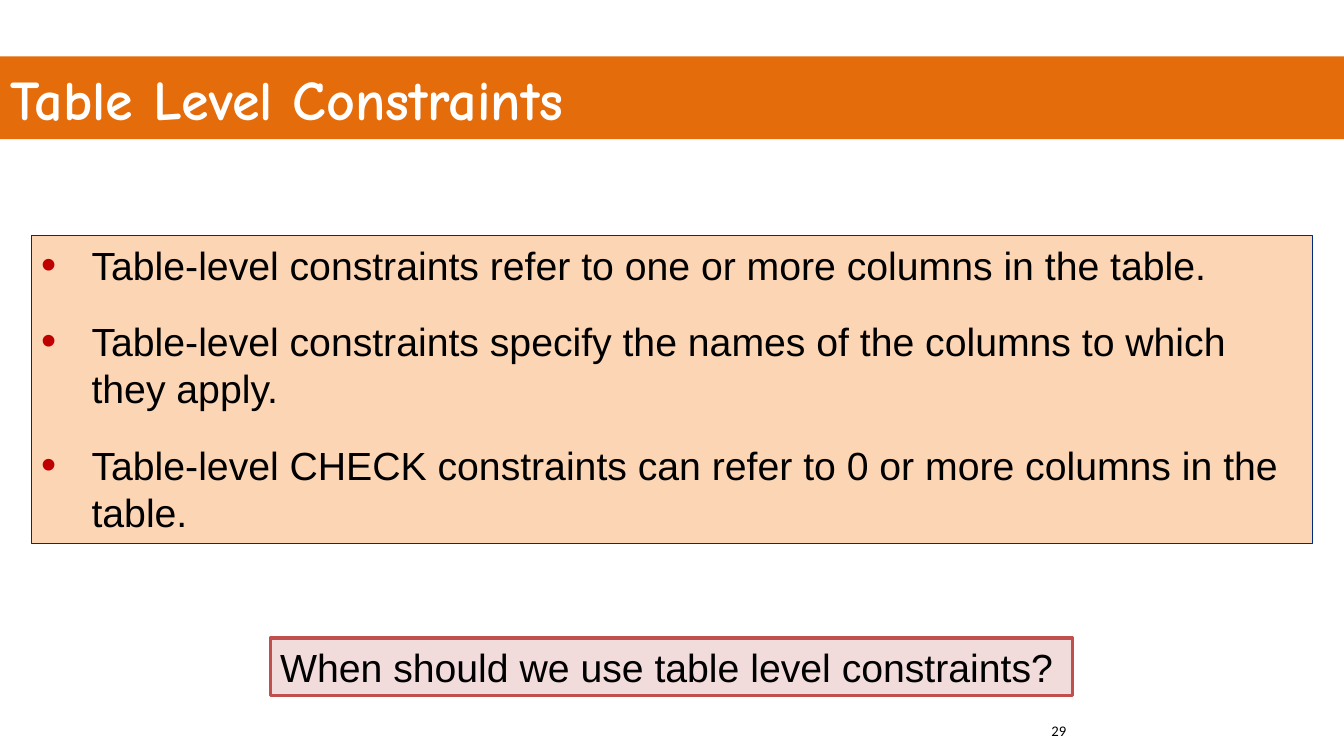
from dataclasses import dataclass
from typing import Optional

from lxml.etree import SubElement
from pptx import Presentation
from pptx.dml.color import RGBColor
from pptx.enum.shapes import MSO_SHAPE
from pptx.enum.text import MSO_ANCHOR, MSO_AUTO_SIZE, PP_ALIGN
from pptx.oxml.ns import qn
from pptx.util import Inches, Pt


@dataclass
class Style:
    font: str
    size: float
    color: str
    bold: bool = False


@dataclass
class Panel:
    left: float
    top: float
    width: float
    height: float
    fill: str
    line: str
    line_width: float
    lines: list[str]
    bullet: Optional[str] = None
    wrap: bool = True


TITLE = Style("Comic Neue", 40, "FFFFFF", True)
BODY = Style("Arial", 28, "000000")
NUMBER = Style("Calibri", 10.5, "000000")

PANELS = [
    Panel(0.31, 2.34, 12.71, 3.05, "FCD5B5", "002A7E", 0.75, [
        "Table-level constraints refer to one or more columns in the table.",
        "Table-level constraints specify the names of the columns to which they apply.",
        "Table-level CHECK constraints can refer to 0 or more columns in the table.",
    ], bullet="C00000"),
    Panel(2.68, 6.33, 7.96, 0.57, "F2DCDB", "C0504D", 2.25,
          ["When should we use table level constraints?"], wrap=False),
]


def rgb(value: str) -> RGBColor:
    return RGBColor.from_string(value)


def place(s, left: float, top: float, width: float, height: float) -> None:
    s.left, s.top = Inches(left), Inches(top)
    s.width, s.height = Inches(width), Inches(height)


def fill_shape(s, color: str) -> None:
    s.fill.solid()
    s.fill.fore_color.rgb = rgb(color)


def add_text(p, text: str, style: Style) -> None:
    p.alignment = PP_ALIGN.LEFT
    r = p.add_run()
    r.text = text
    r.font.name = style.font
    r.font.size = Pt(style.size)
    r.font.bold = style.bold
    r.font.color.rgb = rgb(style.color)


def add_bullet(p, color: str) -> None:
    pPr = p._p.get_or_add_pPr()
    pPr.set("marL", str(Inches(0.5)))
    pPr.set("indent", str(Inches(-0.5)))
    SubElement(SubElement(pPr, qn("a:buClr")), qn("a:srgbClr"), val=color)
    SubElement(pPr, qn("a:buSzPct"), val="110000")
    SubElement(pPr, qn("a:buFont"), typeface="Arial")
    SubElement(pPr, qn("a:buChar"), char="•")
    p.space_after = Pt(21)


def add_panel(slide, panel: Panel) -> None:
    s = slide.shapes.add_shape(MSO_SHAPE.RECTANGLE, 0, 0, 0, 0)
    place(s, panel.left, panel.top, panel.width, panel.height)
    s.shadow.inherit = False
    fill_shape(s, panel.fill)
    s.line.color.rgb = rgb(panel.line)
    s.line.width = Pt(panel.line_width)
    tf = s.text_frame
    tf.word_wrap = panel.wrap
    tf.auto_size = MSO_AUTO_SIZE.SHAPE_TO_FIT_TEXT
    tf.vertical_anchor = MSO_ANCHOR.TOP
    for i, text in enumerate(panel.lines):
        p = tf.add_paragraph() if i else tf.paragraphs[0]
        if panel.bullet:
            add_bullet(p, panel.bullet)
        add_text(p, text, BODY)


def main() -> None:
    prs = Presentation()
    prs.slide_width, prs.slide_height = Inches(13.33), Inches(7.5)
    slide = prs.slides.add_slide(prs.slide_layouts[5])

    title = slide.shapes.title
    place(title, 0, 0.56, 13.33, 0.82)
    fill_shape(title, "E46C0A")
    title.text_frame.auto_size = MSO_AUTO_SIZE.NONE
    title.text_frame.vertical_anchor = MSO_ANCHOR.MIDDLE
    add_text(title.text_frame.paragraphs[0], "Table Level Constraints", TITLE)

    number = slide.shapes.add_textbox(0, 0, 0, 0)
    place(number, 10.33, 7.11, 3, 0.4)
    number.text_frame.word_wrap = True
    add_text(number.text_frame.paragraphs[0], "29", NUMBER)

    for panel in PANELS:
        add_panel(slide, panel)
    prs.save("out.pptx")


if __name__ == "__main__":
    main()
